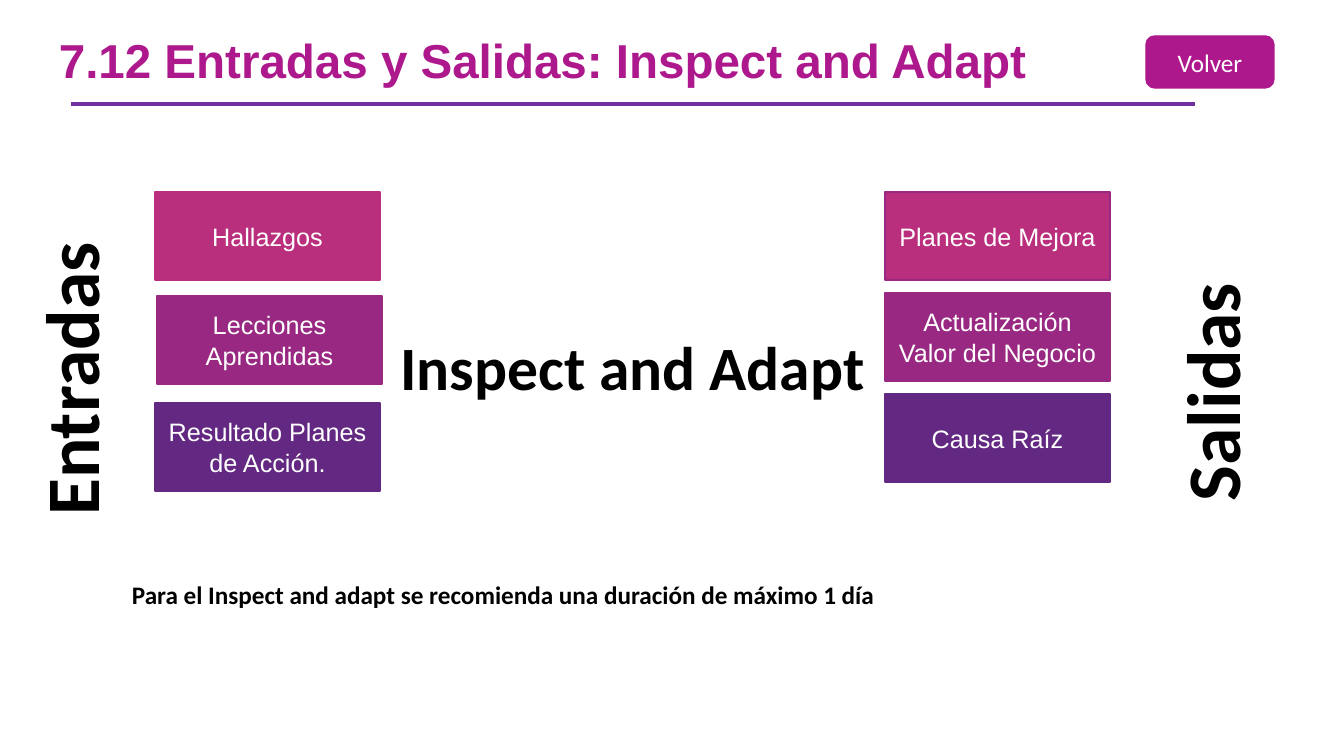
"""Builds the inputs and outputs slide for Inspect and Adapt."""
from dataclasses import dataclass

from pptx import Presentation
from pptx import util as u
from pptx.dml.color import RGBColor
from pptx.enum import shapes, text
from pptx.oxml.ns import qn
from lxml import etree


@dataclass(frozen=True)
class Theme:
    magenta: str = "AD198D"
    rule: str = "7030A0"
    pink: str = "BA2F7D"
    plum: str = "982881"
    violet: str = "632881"
    white: str = "FFFFFF"
    black: str = "000000"
    heading: str = "Arial"
    body: str = "Calibri"
    title: int = 34
    side: int = 54
    center: int = 44
    label: int = 18


class SlideBuilder:
    PX = 914400 / 100.8

    def __init__(self, deck, theme):
        self.theme = theme
        deck.slide_width, deck.slide_height = self.px(1344), self.px(756)
        self.page = deck.slides.add_slide(deck.slide_layouts[6])

    def px(self, length):
        return u.Emu(round(length * self.PX))

    def fill_text(self, box, words, font, color, frame_format, para_format):
        frame = box.text_frame
        for name, value in frame_format.items():
            setattr(frame, name, value)
        para = frame.paragraphs[0]
        for name, value in para_format.items():
            setattr(para, name, value)
        span = para.add_run()
        span.text = words
        for name, value in font.items():
            setattr(span.font, name, value)
        span.font.color.rgb = RGBColor.from_string(color)

    def label(self, words, area, size, font=None, color=None, rotation=0, wrap=False,
              align=text.PP_ALIGN.CENTER, anchor=text.MSO_ANCHOR.TOP, spacing=None):
        box = self.page.shapes.add_textbox(*map(self.px, area))
        box.rotation = rotation
        self.fill_text(box, words,
                       {"name": font or self.theme.body, "size": u.Pt(size), "bold": True},
                       color or self.theme.black,
                       {"word_wrap": wrap, "vertical_anchor": anchor},
                       {"alignment": align, "line_spacing": spacing})

    def block(self, words, area, fill, line=None, font=None,
              kind=shapes.MSO_SHAPE.RECTANGLE):
        box = self.page.shapes.add_shape(kind, *map(self.px, area))
        box.shadow.inherit = False
        box.fill.solid()
        box.fill.fore_color.rgb = RGBColor.from_string(fill)
        box.line.color.rgb = RGBColor.from_string(line or fill)
        box.line.width = u.Pt(1)
        self.fill_text(box, words,
                       {"name": font or self.theme.heading, "size": u.Pt(self.theme.label)},
                       self.theme.white,
                       {"word_wrap": True, "vertical_anchor": text.MSO_ANCHOR.MIDDLE},
                       {"alignment": text.PP_ALIGN.CENTER})

    def rule(self, left, right, top):
        line = self.page.shapes.add_connector(
            shapes.MSO_CONNECTOR.STRAIGHT, *map(self.px, (left, top, right, top)))
        line.line.color.rgb = RGBColor.from_string(self.theme.rule)
        line.line.width = u.Pt(2.25)
        etree.SubElement(line._element.spPr, qn("a:effectLst"))


def main():
    deck = Presentation()
    theme = Theme()
    slide = SlideBuilder(deck, theme)

    slide.rule(71, 1195, 104)
    slide.label("7.12 Entradas y Salidas: Inspect and Adapt", (49, 36, 1041, 61),
                theme.title, theme.heading, theme.magenta, wrap=True,
                align=text.PP_ALIGN.LEFT, anchor=text.MSO_ANCHOR.MIDDLE, spacing=0.7)

    blocks = [
        ("Hallazgos", 155, 192, theme.pink, theme.pink),
        ("Lecciones Aprendidas", 157, 296, theme.plum, theme.plum),
        ("Resultado Planes de Acción.", 155, 403, theme.violet, theme.violet),
        ("Planes de Mejora", 885, 192, theme.pink, theme.plum),
        ("Actualización Valor del Negocio", 885, 293, theme.plum, theme.plum),
        ("Causa Raíz", 885, 394, theme.violet, theme.violet),
    ]
    for words, left, top, fill, line in blocks:
        slide.block(words, (left, top, 225, 88), fill, line)

    slide.label("Inspect and Adapt", (388, 324, 490, 85), theme.center)
    slide.label("Entradas", (-78, 328, 296, 102), theme.side, rotation=270)
    slide.label("Salidas", (1090, 341, 241, 102), theme.side, rotation=270)
    slide.label("Para el Inspect and adapt se recomienda una duración de máximo 1 día",
                (122, 574, 763, 40), theme.label, wrap=True,
                align=text.PP_ALIGN.JUSTIFY)
    slide.block("Volver", (1146, 36, 128, 52), theme.magenta, font=theme.body,
                kind=shapes.MSO_SHAPE.ROUNDED_RECTANGLE)
    deck.save("out.pptx")


if __name__ == "__main__":
    main()
